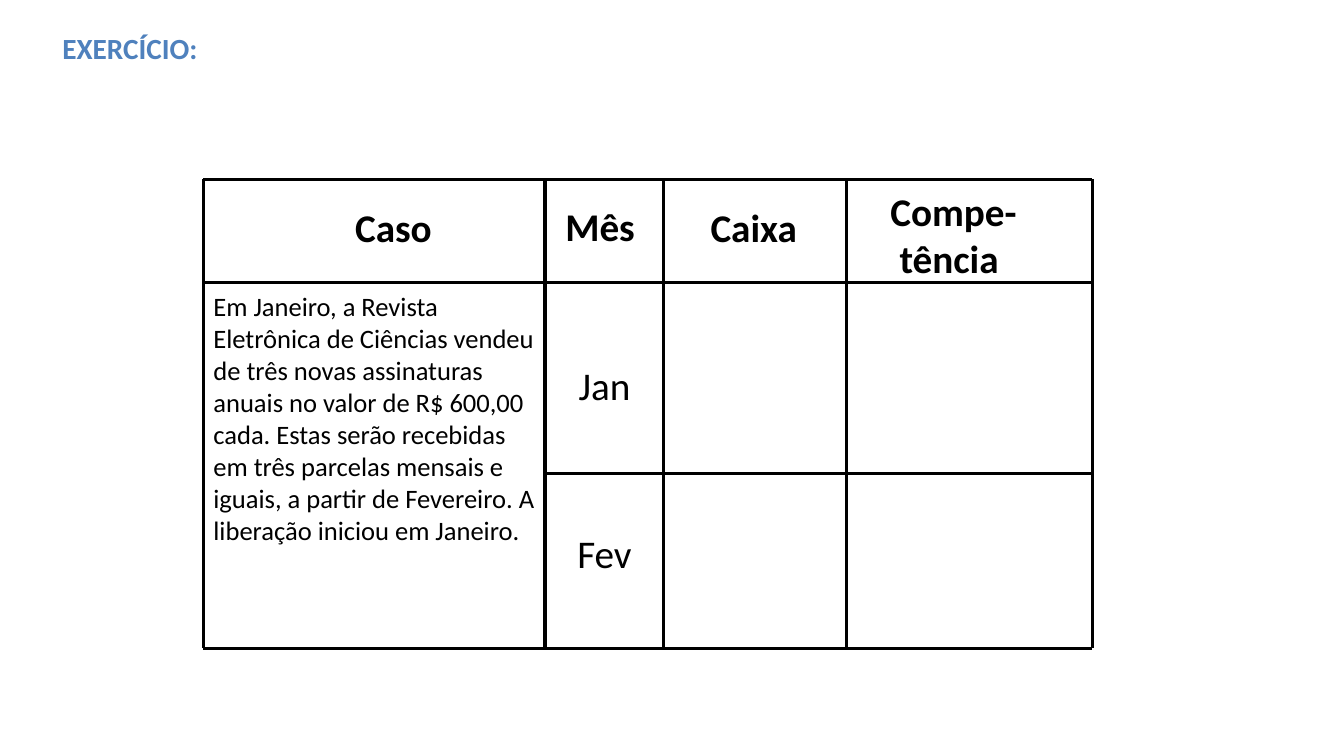
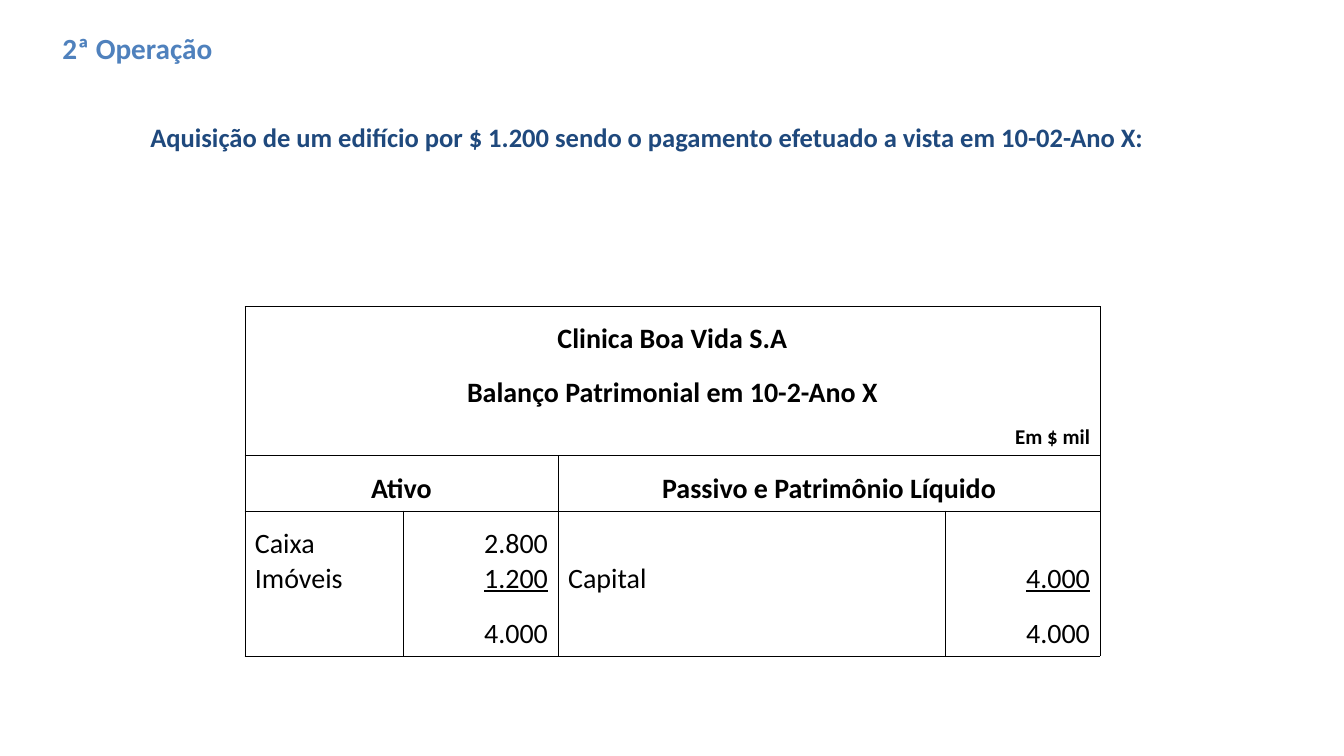
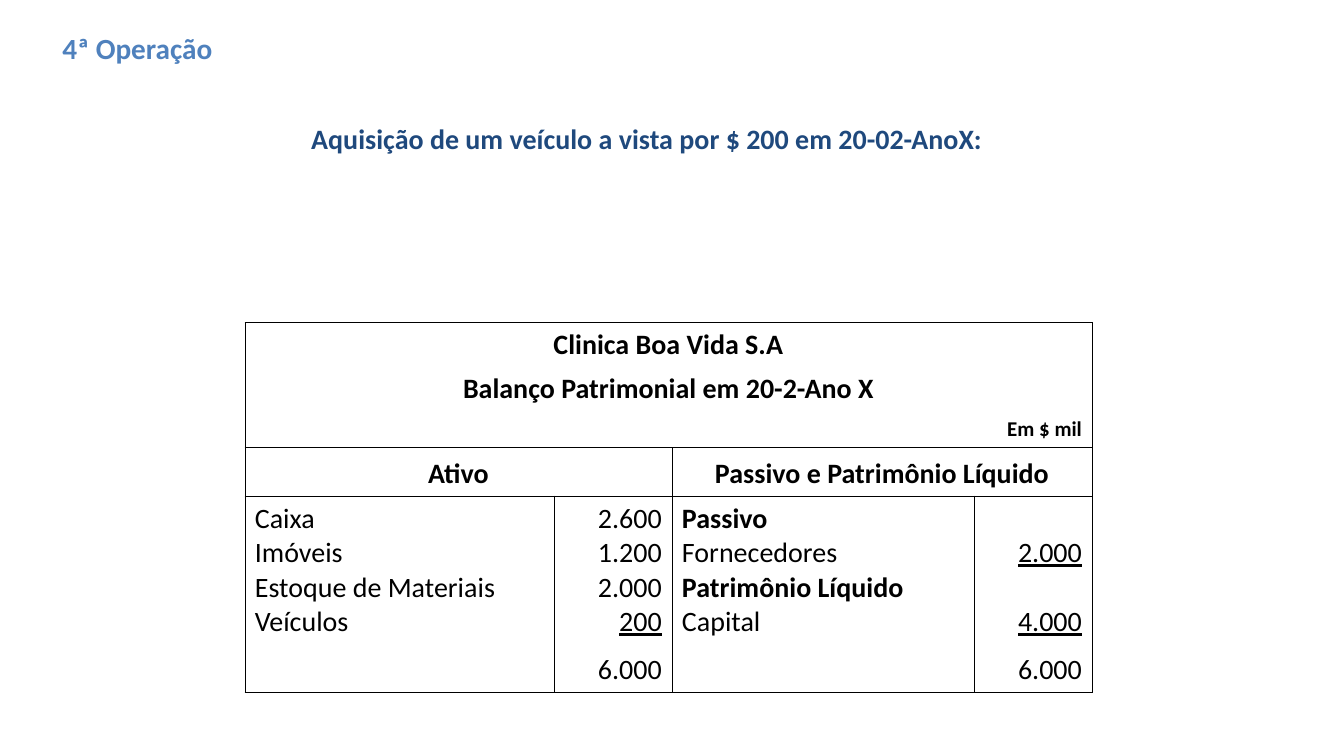
from lxml.etree import SubElement
from pptx import Presentation
from pptx.dml.color import RGBColor
from pptx.enum.shapes import MSO_CONNECTOR
from pptx.enum.text import MSO_ANCHOR, PP_ALIGN
from pptx.oxml.ns import qn
from pptx.util import Emu, Pt

PX = 9144
FONT = "Calibri"
COLORS = {"ink": "000000", "paper": "FFFFFF", "title": "4F81BD", "caption": "1F497D"}
LEFT, CENTER, RIGHT = PP_ALIGN.LEFT, PP_ALIGN.CENTER, PP_ALIGN.RIGHT
TITLE_BOX = (52, 24, 910, 47)
CAPTION_BOX = (52, 107, 1180, 50)

CASE = (
    "Em Janeiro, a Revista Eletrônica de Ciências vendeu de três novas assinaturas "
    "anuais no valor de R$ 600,00 cada. Estas serão recebidas em três parcelas mensais "
    "e iguais, a partir de Fevereiro. A liberação iniciou em Janeiro."
)
EXERCISE = {
    "title": "EXERCÍCIO:",
    "labels": [
        ("Caso", (241, 197, 299, 60), True),
        ("Mês ", (541, 196, 118, 55), True),
        ("Caixa ", (674, 197, 157, 60), True),
        ("Compe-tência ", (848, 181, 197, 107), True),
        ("Jan", (541, 354, 118, 47), False),
        ("Fev", (541, 520, 118, 89), False),
    ],
    "case_box": (202, 283, 339, 295),
    "col_edges": [202, 541, 659, 840, 1084],
    "row_edges": [178, 280, 470, 643],
    "month_edge": 470,
}

OPERATIONS = [
    {
        "title": "2ª Operação",
        "caption": "Aquisição de um edifício por $ 1.200 sendo o pagamento efetuado a vista em 10-02-Ano X:",
        "caption_size": 19,
        "heading": ["Clinica Boa Vida S.A", "Balanço Patrimonial em 10-2-Ano X"],
        "origin": (243, 304),
        "cols": [157, 154, 384, 154],
        "rows": [54, 54, 40, 55, 89, 55],
        "entries": [
            [("Caixa", ""), ("Imóveis", "")],
            [("2.800", ""), ("1.200", "underline")],
            [("Capital", "")],
            [("4.000", "underline")],
        ],
        "total": "4.000",
    },
    {
        "title": "4ª Operação",
        "caption": "Aquisição de um veículo a vista por $ 200 em 20-02-AnoX:",
        "caption_size": 20,
        "heading": ["Clinica Boa Vida S.A", "Balanço Patrimonial em 20-2-Ano X"],
        "origin": (243, 320),
        "cols": [307, 117, 300, 117],
        "rows": [44, 44, 36, 48, 147, 48],
        "entries": [
            [("Caixa", ""), ("Imóveis", ""), ("Estoque de Materiais", ""), ("Veículos", "")],
            [("2.600", ""), ("1.200", ""), ("2.000", ""), ("200", "underline")],
            [("Passivo", "bold"), ("Fornecedores", ""), ("Patrimônio Líquido", "bold"), ("Capital", "")],
            [("2.000", "underline"), ("4.000", "underline skip")],
        ],
        "total": "6.000",
    },
]
UNRULED_ROWS = (1, 2, 5)


def px(*lengths):
    return [Emu(length * PX) for length in lengths]


def style(paragraph, size, color, bold=False, underline=False):
    font = paragraph.font
    font.name, font.size, font.bold, font.underline = FONT, Pt(size), bold, underline
    font.color.rgb = RGBColor.from_string(COLORS[color])


def add_text(slide, text, box, size, color, bold=True, align=LEFT, anchor=MSO_ANCHOR.TOP):
    frame = slide.shapes.add_textbox(*px(*box)).text_frame
    frame.word_wrap = True
    frame.vertical_anchor = anchor
    paragraph = frame.paragraphs[0]
    paragraph.text = text
    paragraph.alignment = align
    style(paragraph, size, color, bold)
    return paragraph


def add_rule(slide, *ends):
    rule = slide.shapes.add_connector(MSO_CONNECTOR.STRAIGHT, *px(*ends))
    rule.line.width = Pt(2.25)
    rule.line.color.rgb = RGBColor.from_string(COLORS["ink"])
    SubElement(rule._element.spPr, qn("a:effectLst"))


def rule_cell(cell, edges):
    properties = cell._tc.get_or_add_tcPr()
    for edge, shown in edges.items():
        line = SubElement(properties, qn(f"a:ln{edge}"), w=str(Pt(0.45)))
        if shown:
            SubElement(SubElement(line, qn("a:solidFill")), qn("a:srgbClr"), val=COLORS["ink"])
        else:
            SubElement(line, qn("a:noFill"))
    cell.fill.solid()
    cell.fill.fore_color.rgb = RGBColor.from_string(COLORS["paper"])


def write_cell(cell, entries, align, size):
    cell.vertical_anchor = MSO_ANCHOR.BOTTOM
    cell.margin_left, cell.margin_top, cell.margin_right, cell.margin_bottom = px(10, 5, 10, 5)
    frame = cell.text_frame
    for index, (text, marks) in enumerate(entries or [("", "")]):
        paragraph = frame.add_paragraph() if index else frame.paragraphs[0]
        paragraph.text = text
        paragraph.alignment = align
        if "skip" in marks:
            paragraph.space_before = Pt(size * 1.22)
        style(paragraph, size, "ink", "bold" in marks, "underline" in marks)


def balance_cells(operation):
    cells = [
        (row, 0, 4, [(text, "bold")], CENTER, 20)
        for row, text in enumerate(operation["heading"])
    ]
    cells.append((2, 0, 4, [("Em $ mil", "bold")], RIGHT, 15))
    for col, side in ((0, "Ativo"), (2, "Passivo e Patrimônio Líquido")):
        cells.append((3, col, 2, [(side, "bold")], CENTER, 20))
    for col, entries in enumerate(operation["entries"]):
        amounts = col % 2 == 1
        total = [(operation["total"], "")] if amounts else []
        for row, content in ((4, entries), (5, total)):
            cells.append((row, col, 1, content, RIGHT if amounts else LEFT, 20))
    return cells


def add_balance(slide, operation):
    cols, rows = operation["cols"], operation["rows"]
    size = (sum(cols), sum(rows))
    table = slide.shapes.add_table(len(rows), len(cols), *px(*operation["origin"], *size)).table
    table.first_row = table.horz_banding = False
    for column, width in zip(table.columns, px(*cols)):
        column.width = width
    for row, height in zip(table.rows, px(*rows)):
        row.height = height
    for row, left, span, entries, align, font_size in balance_cells(operation):
        last = left + span - 1
        if span > 1:
            table.cell(row, left).merge(table.cell(row, last))
        for col in range(left, last + 1):
            cell = table.cell(row, col)
            rule_cell(cell, {
                "L": col == left,
                "R": col in (left, last),
                "T": row not in UNRULED_ROWS,
                "B": row + 1 not in UNRULED_ROWS,
            })
            write_cell(cell, entries if col == left else [], align, font_size)


def add_exercise(slide):
    for text, box, bold in EXERCISE["labels"]:
        add_text(slide, text, box, 28, "ink", bold, CENTER)
    cols, rows = EXERCISE["col_edges"], EXERCISE["row_edges"]
    for x in cols:
        add_rule(slide, x, rows[0], x, rows[-1])
    for y in rows:
        start = cols[1] if y == EXERCISE["month_edge"] else cols[0]
        add_rule(slide, start, y, cols[-1], y)
    add_text(slide, CASE, EXERCISE["case_box"], 19, "ink", bold=False)


def add_titled_slide(deck, title):
    slide = deck.slides.add_slide(deck.slide_layouts[6])
    add_text(slide, title, TITLE_BOX, 20.9, "title", anchor=MSO_ANCHOR.MIDDLE)
    return slide


def main():
    """Build the accounting exercise and its two balance sheets."""
    deck = Presentation()
    deck.slide_width, deck.slide_height = px(1334, 750)

    add_exercise(add_titled_slide(deck, EXERCISE["title"]))

    for operation in OPERATIONS:
        slide = add_titled_slide(deck, operation["title"])
        caption = add_text(slide, operation["caption"], CAPTION_BOX,
                           operation["caption_size"], "caption", align=CENTER)
        caption.line_spacing = 1.25
        add_balance(slide, operation)

    deck.save("out.pptx")


if __name__ == "__main__":
    main()
